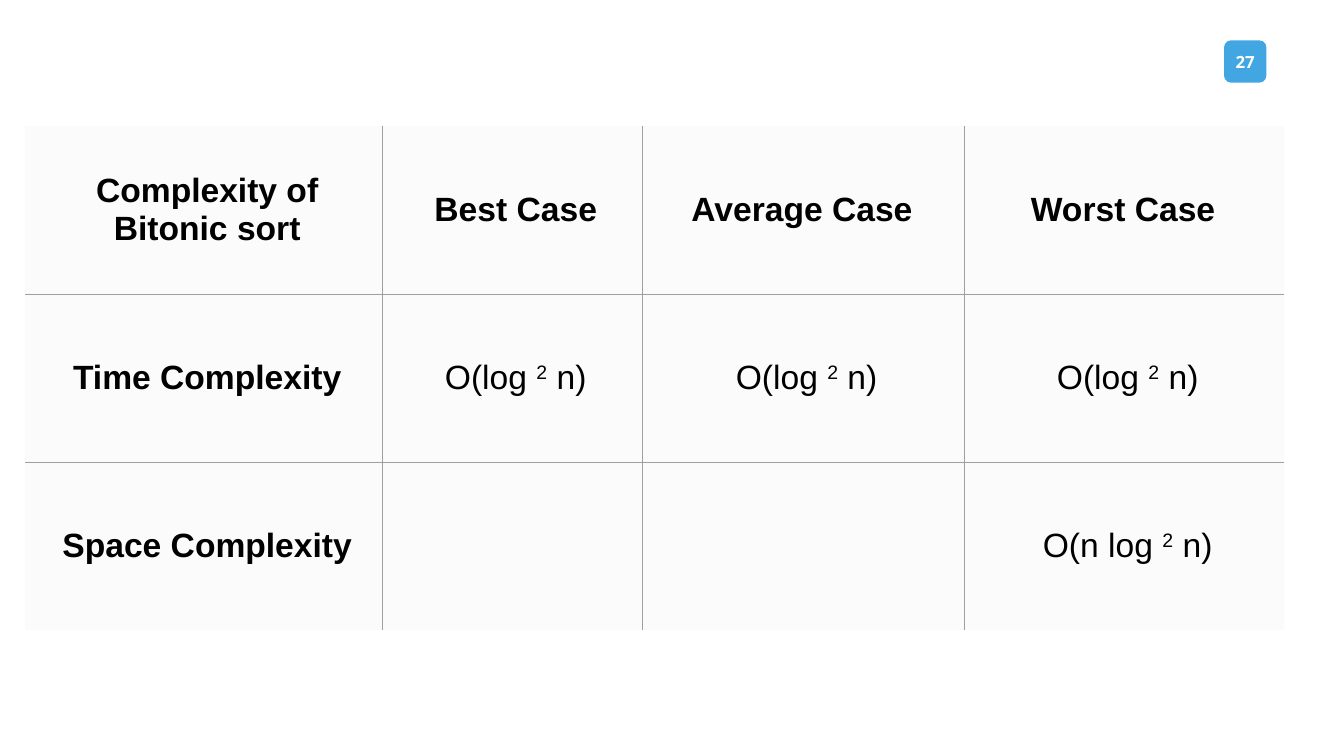
import pptx
import pptx.dml.color
import pptx.enum.shapes
import pptx.enum.text
import pptx.oxml
import pptx.oxml.ns
import pptx.util

PX = 9144  # EMU per px, 100 px to the inch
BADGE_BLUE = pptx.dml.color.RGBColor(0x42, 0xA6, 0xE3)
CELL_GREY = pptx.dml.color.RGBColor(0xF2, 0xF2, 0xF2)
RULE_GREY = pptx.dml.color.RGBColor(0x9F, 0x9F, 0x9F)
BLACK = pptx.dml.color.RGBColor(0, 0, 0)
WHITE = pptx.dml.color.RGBColor(255, 255, 255)

COLUMN_WIDTHS = [354, 258, 319, 318]
# A caret pair encloses superscript text.
COMPLEXITIES = [
    ["Complexity of Bitonic sort", "Best Case", "Average Case ", "Worst Case "],
    ["Time Complexity"] + ["O(log ^2^ n)"] * 3,
    ["Space Complexity", "", "", "O(n log ^2^ n)"],
]


def style_text(paragraph, font_name, size, color, bold):
    paragraph.alignment = pptx.enum.text.PP_ALIGN.CENTER
    paragraph.font.name = font_name
    paragraph.font.size = pptx.util.Pt(size)
    paragraph.font.color.rgb = color
    paragraph.font.bold = bold


def add_page_badge(slide, left, top, side, number):
    badge = slide.shapes.add_shape(
        pptx.enum.shapes.MSO_SHAPE.ROUNDED_RECTANGLE,
        left * PX, top * PX, side * PX, side * PX)
    badge.shadow.inherit = False
    badge.fill.solid()
    badge.fill.fore_color.rgb = BADGE_BLUE
    badge.line.fill.background()
    frame = badge.text_frame
    frame.margin_left = frame.margin_right = 0
    frame.margin_top = frame.margin_bottom = 0
    frame.vertical_anchor = pptx.enum.text.MSO_ANCHOR.MIDDLE
    frame.text = number
    style_text(frame.paragraphs[0], "Open Sans", 12, WHITE, True)


def fill_cell(cell):
    cell.fill.solid()
    cell.fill.fore_color.rgb = CELL_GREY
    color = cell.fill._xPr.find(".//" + pptx.oxml.ns.qn("a:srgbClr"))
    color.append(pptx.oxml.parse_xml(
        f'<a:alpha {pptx.oxml.ns.nsdecls("a")} val="30000"/>'))


def rule_cell(cell, inner_sides):
    """Draw thin rules on the inner sides and none on the outer ones."""
    properties = cell._tc.get_or_add_tcPr()
    for position, side in enumerate("LRTB"):
        paint = "<a:noFill/>"
        if side in inner_sides:
            paint = f'<a:solidFill><a:srgbClr val="{RULE_GREY}"/></a:solidFill>'
        properties.insert(position, pptx.oxml.parse_xml(
            f'<a:ln{side} {pptx.oxml.ns.nsdecls("a")} w="6350">{paint}</a:ln{side}>'))


def write_cell(cell, text, bold):
    cell.vertical_anchor = pptx.enum.text.MSO_ANCHOR.MIDDLE
    cell.margin_left = 31 * PX
    cell.margin_right = cell.margin_top = cell.margin_bottom = 24 * PX
    paragraph = cell.text_frame.paragraphs[0]
    style_text(paragraph, "Arial", 24, BLACK, bold)
    for index, part in enumerate(text.split("^")):
        if part:
            run = paragraph.add_run()
            run.text = part
            if index % 2:
                run.font._element.set("baseline", "30000")


def add_complexity_table(slide, left, top, width, height):
    row_count, column_count = len(COMPLEXITIES), len(COLUMN_WIDTHS)
    table = slide.shapes.add_table(
        row_count, column_count, left * PX, top * PX, width * PX, height * PX).table
    table.first_row = table.horz_banding = False
    for column, column_width in zip(table.columns, COLUMN_WIDTHS):
        column.width = column_width * PX
    for r, row in enumerate(COMPLEXITIES):
        for c, text in enumerate(row):
            cell = table.cell(r, c)
            fill_cell(cell)
            inner = {"L": c > 0, "R": c < column_count - 1,
                     "T": r > 0, "B": r < row_count - 1}
            rule_cell(cell, [side for side in inner if inner[side]])
            write_cell(cell, text, bold=r == 0 or c == 0)


def main():
    deck = pptx.Presentation()
    deck.slide_width, deck.slide_height = 1333 * PX, 750 * PX
    slide = deck.slides.add_slide(deck.slide_layouts[6])
    add_page_badge(slide, 1214, 40, 42, "27")
    add_complexity_table(slide, 25, 125, sum(COLUMN_WIDTHS), 500)
    deck.save("out.pptx")


if __name__ == "__main__":
    main()
